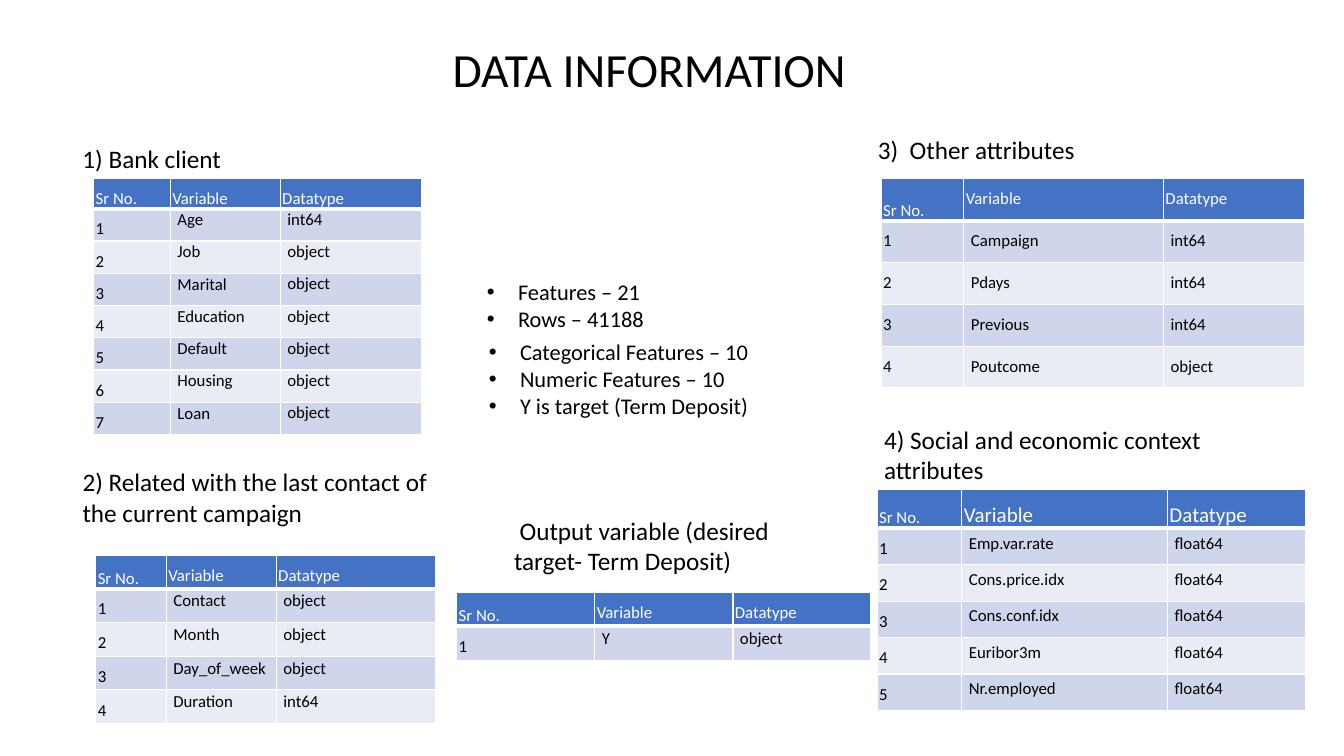
from dataclasses import dataclass

from lxml.etree import SubElement
from pptx import Presentation
from pptx.dml.color import RGBColor
from pptx.enum.text import MSO_ANCHOR, PP_ALIGN
from pptx.oxml.ns import qn
from pptx.util import Inches, Pt


@dataclass(frozen=True)
class Theme:
    font: str = "Calibri"
    black: str = "000000"
    white: str = "FFFFFF"
    blue: str = "4472C4"
    bands: tuple = ("CFD5EA", "E9EBF5")
    title: int = 34
    head: int = 18
    point: int = 16
    wide: int = 15
    cell: int = 12


@dataclass(frozen=True)
class Box:
    left: float
    top: float
    width: float
    height: float

    def lengths(self):
        return [Inches(n) for n in (self.left, self.top, self.width, self.height)]


THEME = Theme()


def write(frame, *lines, size=THEME.cell, color=THEME.black, align=None,
          space=None, gap=None, bullet=False):
    """Fill a text frame, one paragraph for each line."""
    frame.word_wrap = True
    for i, line in enumerate(lines):
        para = frame.add_paragraph() if i else frame.paragraphs[0]
        para.alignment = align
        para.line_spacing = space
        if gap is not None:
            para.space_before = para.space_after = Pt(gap)
        if bullet:
            props = para._p.get_or_add_pPr()
            props.set("marL", str(Inches(0.31)))
            props.set("indent", str(-Inches(0.31)))
            SubElement(props, qn("a:buFont"), typeface="Arial")
            SubElement(props, qn("a:buChar"), char="•")
        run = para.add_run()
        run.text = line
        font = run.font
        font.name, font.size, font.bold = THEME.font, Pt(size), False
        font.color.rgb = RGBColor.from_string(color)


def label(slide, box, *lines, **style):
    write(slide.shapes.add_textbox(*box.lengths()).text_frame, *lines, **style)


def edge(cell, base):
    """Draw white cell borders; base is the width of the bottom one."""
    props = cell._tc.get_or_add_tcPr()
    for i, (side, width) in enumerate(zip("LRTB", (1, 1, 1, base))):
        line = SubElement(props, qn(f"a:ln{side}"), w=str(Pt(width)))
        fill = SubElement(line, qn("a:solidFill"))
        SubElement(fill, qn("a:srgbClr"), val=THEME.white)
        props.insert(i, line)


def paint(cell, text, row, col, size):
    """Format one cell by its place in the table."""
    head = row == 0
    loose = head or col == 0
    cell.fill.solid()
    cell.fill.fore_color.rgb = RGBColor.from_string(
        THEME.blue if head else THEME.bands[(row - 1) % 2])
    edge(cell, 3 if head else 1)
    cell.margin_left = cell.margin_right = Inches(0.02 if loose else 0.07)
    cell.margin_top = Inches(0.01 if not loose and col == 1 else 0)
    cell.margin_bottom = Inches(0 if loose else 0.11)
    low = head == (col == 0)
    cell.vertical_anchor = MSO_ANCHOR.BOTTOM if low else MSO_ANCHOR.TOP
    write(cell.text_frame, text, size=size,
          color=THEME.white if head else THEME.black,
          space=1.5 if loose else None, gap=12 if loose else None)


def grid(slide, box, fields, cols, head, size):
    """Draw a numbered table of (variable, datatype) fields."""
    rows = [("Sr No.", "Variable", "Datatype")]
    rows += [(str(i), *field) for i, field in enumerate(fields, 1)]
    table = slide.shapes.add_table(len(rows), len(cols), *box.lengths()).table
    table.first_row = table.horz_banding = False
    for col, width in zip(table.columns, cols):
        col.width = Inches(width)
    body = (box.height - head) / len(fields)
    for r, row in enumerate(rows):
        table.rows[r].height = Inches(body if r else head)
        for c, text in enumerate(row):
            big = r == 0 and c > 0
            paint(table.cell(r, c), text, r, c, size if big else THEME.cell)


def group(slide, box, text, fields, *, width, tall, shift, cols, head,
          size=THEME.cell):
    """Place a heading at the top of the box and its table at the bottom."""
    label(slide, Box(box.left, box.top, width, tall), text, size=THEME.head)
    high = head[1]
    area = Box(box.left + shift, box.top + box.height - high, sum(cols), high)
    grid(slide, area, fields, cols, head[0], size)


def banner(slide, box, text):
    title = slide.shapes.title
    title.left, title.top, title.width, title.height = box.lengths()
    title.text_frame.vertical_anchor = MSO_ANCHOR.BOTTOM
    write(title.text_frame, text, size=THEME.title, align=PP_ALIGN.CENTER,
          space=0.9)


def facts(slide, box):
    """List the counts in two stacked bullet boxes."""
    label(slide, Box(box.left, box.top, 3.18, 0.64),
          "Features – 21", "Rows – 41188", size=THEME.point, bullet=True)
    label(slide, Box(box.left + 0.02, box.top + 0.6, box.width, 0.91),
          "Categorical Features – 10", "Numeric Features – 10",
          "Y is target (Term Deposit)", size=THEME.point, bullet=True)


def typed(kind, names):
    return [(name, kind) for name in names.split()]


def main():
    deck = Presentation()
    deck.slide_width, deck.slide_height = Inches(13.33), Inches(7.5)
    slide = deck.slides.add_slide(deck.slide_layouts[5])
    banner(slide, Box(3.06, 0.09, 6.76, 0.93), "DATA INFORMATION")
    facts(slide, Box(4.73, 2.71, 3.9, 1.51))
    group(slide, Box(0.72, 1.37, 3.46, 2.92), "1) Bank client",
          typed("int64", "Age")
          + typed("object", "Job Marital Education Default Housing Loan"),
          width=1.96, tall=0.4, shift=0.21, cols=(0.76, 1.09, 1.4),
          head=(0.3, 2.52))
    group(slide, Box(0.72, 4.58, 3.81, 2.6),
          "2) Related with the last contact of the current campaign",
          typed("object", "Contact Month Day_of_week")
          + typed("int64", "Duration"),
          width=3.81, tall=0.57, shift=0.23, cols=(0.7, 1.09, 1.58),
          head=(0.33, 1.67))
    group(slide, Box(8.61, 1.28, 4.32, 2.57), "3)  Other attributes",
          typed("int64", "Campaign Pdays Previous")
          + typed("object", "Poutcome"),
          width=2.63, tall=0.34, shift=0.13, cols=(0.82, 1.98, 1.4),
          head=(0.42, 2.08))
    group(slide, Box(8.67, 4.16, 4.28, 2.89),
          "4) Social and economic context attributes",
          typed("float64", "Emp.var.rate Cons.price.idx Cons.conf.idx "
                           "Euribor3m Nr.employed"),
          width=3.89, tall=0.34, shift=0.03, cols=(0.84, 2.04, 1.37),
          head=(0.38, 2.19), size=THEME.wide)
    group(slide, Box(5, 5.06, 3.64, 1.49),
          " Output variable (desired target- Term Deposit)",
          typed("object", "Y"),
          width=3.23, tall=0.71, shift=-0.47, cols=(1.37, 1.37, 1.37),
          head=(0.33, 0.67))
    deck.save("out.pptx")


if __name__ == "__main__":
    main()
